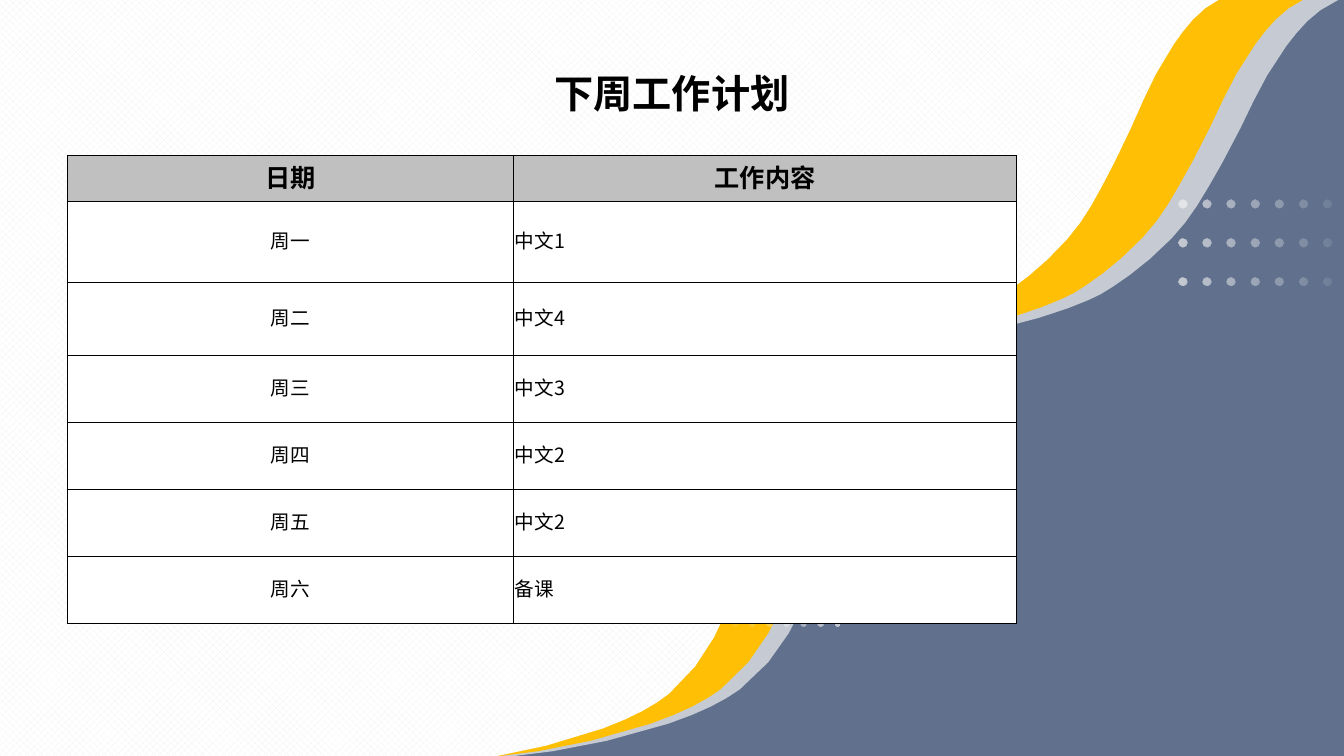
"""Builds the slide with next week's work plan."""
import math

from lxml import etree
from pptx import Presentation
from pptx.dml import color
from pptx.enum import dml, lang, shapes, text
from pptx.oxml import ns
from pptx.util import Pt

NAVY = color.RGBColor(0x1F, 0x35, 0x5E)
YELLOW = color.RGBColor(0xFE, 0xBF, 0x04)
PALE = color.RGBColor(0xF2, 0xF2, 0xF2)
SILVER = color.RGBColor(0xC0, 0xC0, 0xC0)
WHITE = color.RGBColor(0xFF, 0xFF, 0xFF)
BLACK = color.RGBColor(0, 0, 0)
CJK = "Noto Sans CJK SC"

WAVE_WIDTH, WAVE_HEIGHT = 958.3, 542.2
WAVE_START = (956.9, 0.7)
WAVE_CURVES = [
    ((939.6, 8.6), (930.2, 20.9), (920.9, 33.1)),
    ((898.6, 64.1), (896.4, 78.5), (875.5, 115.9)),
    ((861.1, 141.1), (853.9, 154.8), (838.8, 170.6)),
    ((817.9, 192.2), (797, 205.2), (788.4, 210.2)),
    ((781.9, 213.8), (756, 225.4), (717.8, 234)),
    ((686.9, 240.5), (689.8, 237.6), (668.9, 244.8)),
    ((635.8, 256.3), (622.1, 285.8), (616.3, 295.9)),
    ((609.8, 309.6), (610.6, 313.2), (599.8, 355.7)),
    ((592.6, 385.9), (588.2, 401), (583.9, 412.6)),
    ((574.6, 436.3), (562.3, 468), (530.6, 492.5)),
    ((518.4, 501.1), (504.7, 508.3), (479.5, 517)),
    ((417.6, 537.1), (367.2, 540.7), (344.2, WAVE_HEIGHT)),
]
PLAN = [
    ("日期", "工作内容"),
    ("周一", "中文1"),
    ("周二", "中文4"),
    ("周三", "中文3"),
    ("周四", "中文2"),
    ("周五", "中文2"),
    ("周六", "备课"),
]
COLUMN_WIDTHS = (319, 359.2)
ROW_HEIGHTS = (33.2, 57.8, 52) + (47.9,) * 4


def set_opacity(shape, *percents):
    colours = shape.element.spPr.iter(ns.qn("a:srgbClr"))
    for colour, percent in zip(colours, percents):
        etree.SubElement(colour, ns.qn("a:alpha"), val=str(percent * 1000))


def bezier(start, first, second, end, steps=4):
    points = []
    for step in range(1, steps + 1):
        t = step / steps
        weights = ((1 - t) ** 3, 3 * t * (1 - t) ** 2, 3 * t * t * (1 - t), t ** 3)
        corners = (start, first, second, end)
        points.append(tuple(sum(w * p[axis] for w, p in zip(weights, corners))
                            for axis in (0, 1)))
    return points


def wave_outline():
    outline = [(0, 0), (WAVE_WIDTH, 0), WAVE_START]
    for curve in WAVE_CURVES:
        outline += bezier(outline[-1], *curve)
    return outline + [(0, WAVE_HEIGHT)]


def add_outline(slide, contours):
    builder = None
    for contour in contours:
        points = [(Pt(x), Pt(y)) for x, y in contour]
        if builder is None:
            builder = slide.shapes.build_freeform(*points[0], scale=1.0)
        else:
            builder.move_to(*points[0])
        builder.add_line_segments(points[1:], close=True)
    outline = builder.convert_to_shape()
    outline.shadow.inherit = False
    outline.line.fill.background()
    return outline


def add_wave(slide, left, top, width, height):
    return add_outline(slide, [[
        (left + x * width / WAVE_WIDTH, top + y * height / WAVE_HEIGHT)
        for x, y in wave_outline()]])


def add_dots(slide, left, top, column_gap, row_gap, diameter, angle, corners):
    radius = diameter / 2
    turns = [math.tau * corner / corners for corner in range(corners)]
    dots = add_outline(slide, [
        [(left + column * column_gap + radius * (1 + math.cos(turn)),
          top + row * row_gap + radius * (1 + math.sin(turn))) for turn in turns]
        for row in range(8) for column in range(3)])
    dots.rotation = 90
    dots.fill.gradient()
    dots.fill.gradient_angle = angle
    for stop, tint in zip(dots.fill.gradient_stops, (WHITE, PALE)):
        stop.color.rgb = tint
    set_opacity(dots, 0, 70)


def add_background(slide):
    backdrop = slide.shapes.add_shape(
        shapes.MSO_SHAPE.RECTANGLE, Pt(2.2), Pt(-0.7), Pt(958.3), Pt(542.2))
    backdrop.shadow.inherit = False
    backdrop.line.fill.background()
    pale_wave = add_wave(slide, -2.2, 0, 958.3, 542.2)
    for part, tint in ((backdrop, NAVY), (pale_wave, PALE)):
        part.fill.solid()
        part.fill.fore_color.rgb = tint
        set_opacity(part, 70)
    yellow_wave = add_wave(slide, -4.3, -1.4, 937.4, 543.6)
    yellow_wave.fill.solid()
    yellow_wave.fill.fore_color.rgb = YELLOW
    paper = add_wave(slide, -12.2, -1.4, 884.9, 547.2)
    paper.fill.patterned()
    paper.fill.pattern = dml.MSO_PATTERN.PERCENT_50
    paper.fill.fore_color.rgb = PALE
    paper.fill.back_color.rgb = WHITE
    add_dots(slide, 874.8, 110.2, 27.2, 17.1, 6.4, 270, 8)
    add_dots(slide, 534.2, 381.6, 19, 12.1, 4.2, 90, 6)


def format_text(paragraph, size, font, bold, align):
    paragraph.alignment = align
    for run in paragraph.runs:
        run.font.size = Pt(size)
        run.font.name = font
        run.font.bold = bold
        run.font.color.rgb = BLACK
        run.font.language_id = lang.MSO_LANGUAGE_ID.SIMPLIFIED_CHINESE
        latin = run.font._element.find(ns.qn("a:latin"))
        latin.addnext(etree.Element(ns.qn("a:ea"), typeface=CJK))


def set_title(slide, wording):
    title = slide.shapes.title
    title.element.getparent().append(title.element)
    title.left, title.top, title.width, title.height = Pt(48), Pt(21.6), Pt(864), Pt(90)
    title.text_frame.text = wording
    title.text_frame.vertical_anchor = text.MSO_ANCHOR.MIDDLE
    format_text(title.text_frame.paragraphs[0], 28, "Calibri", True, text.PP_ALIGN.CENTER)


def set_borders(cell, side_width):
    properties = cell._tc.get_or_add_tcPr()
    widths = (side_width, side_width, side_width, 1)
    for index, (side, width) in enumerate(zip("LRTB", widths)):
        border = etree.Element(ns.qn(f"a:ln{side}"), w=str(Pt(width)))
        fill = etree.SubElement(border, ns.qn("a:solidFill"))
        etree.SubElement(fill, ns.qn("a:srgbClr"), val=str(BLACK))
        properties.insert(index, border)


def fill_cell(cell, wording, is_header, is_day):
    cell.text_frame.text = wording
    cell.vertical_anchor = text.MSO_ANCHOR.MIDDLE
    cell.margin_left = cell.margin_top = cell.margin_right = Pt(0.75)
    cell.margin_bottom = Pt(3.6)
    cell.fill.solid()
    cell.fill.fore_color.rgb = SILVER if is_header else WHITE
    set_borders(cell, 0.5 if is_header else 1)
    centred = is_header or is_day
    format_text(cell.text_frame.paragraphs[0], 18 if is_header else 14,
                "Arial" if is_header and is_day else CJK, is_header,
                text.PP_ALIGN.CENTER if centred else text.PP_ALIGN.LEFT)


def add_plan(slide):
    plan = slide.shapes.add_table(
        len(PLAN), len(COLUMN_WIDTHS), Pt(48), Pt(110.9),
        Pt(sum(COLUMN_WIDTHS)), Pt(sum(ROW_HEIGHTS))).table
    plan.first_row = plan.horz_banding = False
    for column, width in zip(plan.columns, COLUMN_WIDTHS):
        column.width = Pt(width)
    for row, height in zip(plan.rows, ROW_HEIGHTS):
        row.height = Pt(height)
    for row, entries in enumerate(PLAN):
        for column, wording in enumerate(entries):
            fill_cell(plan.cell(row, column), wording, row == 0, column == 0)


def main():
    deck = Presentation()
    deck.slide_width, deck.slide_height = Pt(960), Pt(540)
    slide = deck.slides.add_slide(deck.slide_layouts[5])
    add_background(slide)
    set_title(slide, "下周工作计划")
    add_plan(slide)
    deck.save("out.pptx")


if __name__ == "__main__":
    main()
